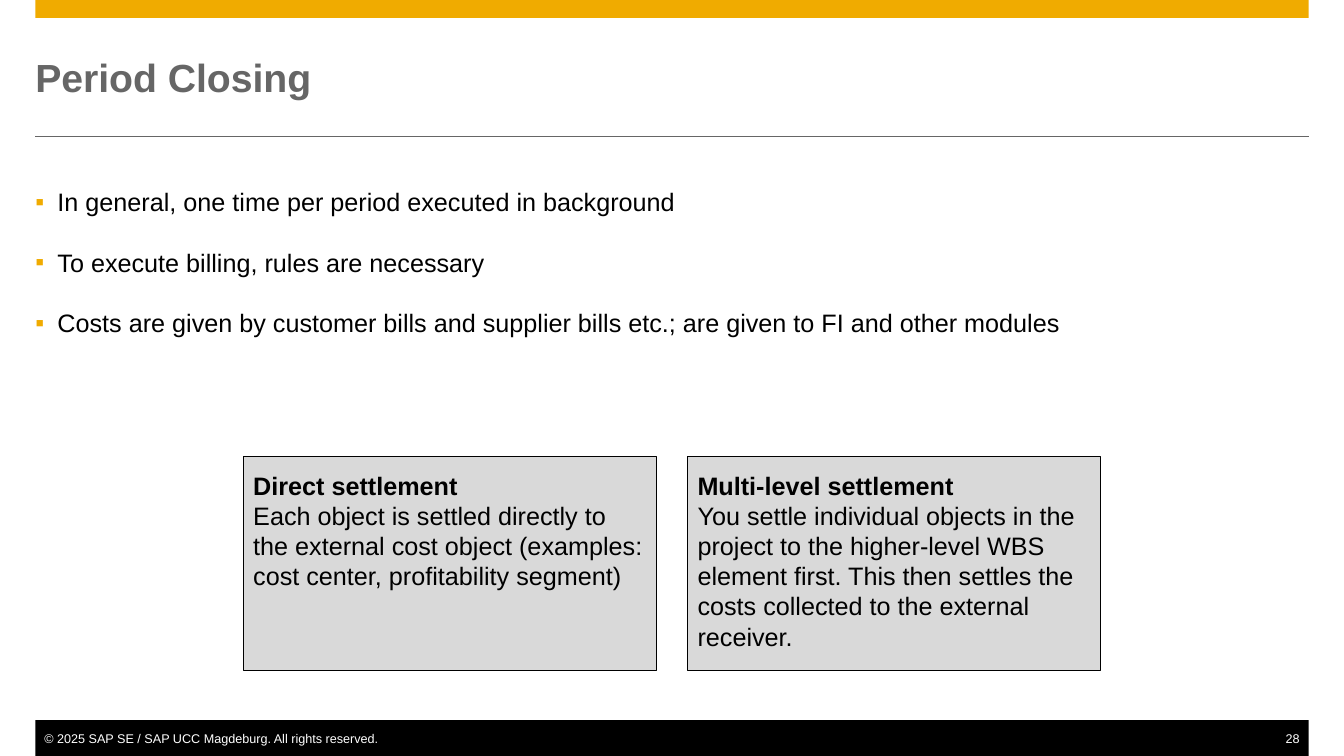
from lxml.etree import SubElement as Sub
from pptx import Presentation
from pptx.dml.color import RGBColor as Rgb
from pptx.enum.shapes import MSO_CONNECTOR as Link, MSO_SHAPE as Kind
from pptx.enum.text import MSO_ANCHOR as Anchor, PP_ALIGN as Align
from pptx.oxml.ns import qn
from pptx.util import Cm, Pt

# Content
TITLE = "Period Closing"
POINTS = [
    "In general, one time per period executed in background",
    "To execute billing, rules are necessary",
    "Costs are given by customer bills and supplier bills etc.; "
    "are given to FI and other modules",
]
CARDS = [
    ("Direct settlement",
     "Each object is settled directly to the external cost object "
     "(examples: cost center, profitability segment)"),
    ("Multi-level settlement",
     "You settle individual objects in the project to the higher-level WBS "
     "element first. This then settles the costs collected to the external "
     "receiver."),
]
RIGHTS = "© 2025 SAP SE / SAP UCC Magdeburg. All rights reserved."
NUMBER = "28"

HUES = {"gold": "F0AB00", "grey": "666666", "pale": "D9D9D9",
        "black": "000000", "white": "FFFFFF"}
FONT = "Arial"

# Layout in centimetres
WIDE, HIGH = 33.88, 19.05
EDGE = 0.89
SPAN = WIDE - 2 * EDGE
BAR = 0.9
CARD_W, CARD_H, CARD_Y, GAP = 10.41, 5.38, 11.51, 0.79
CARD_X = (WIDE - len(CARDS) * CARD_W - (len(CARDS) - 1) * GAP) / 2


def hue(name):
    return Rgb.from_string(HUES[name])


def block(slide, x, y, w, h, fill, line=None):
    box = slide.shapes.add_shape(Kind.RECTANGLE, Cm(x), Cm(y), Cm(w), Cm(h))
    box.shadow.inherit = False
    box.fill.solid()
    box.fill.fore_color.rgb = hue(fill)
    if line:
        box.line.color.rgb = hue(line)
        box.line.width = Pt(1)
    else:
        box.line.fill.background()
    return box


def write(box, lines, size, color, pad=(0, 0, 0, 0), anchor=Anchor.TOP,
          align=Align.LEFT):
    frame = box.text_frame
    frame.word_wrap = True
    frame.vertical_anchor = anchor
    (frame.margin_left, frame.margin_top,
     frame.margin_right, frame.margin_bottom) = map(Cm, pad)
    frame.text = "\n".join(lines)
    for para in frame.paragraphs:
        para.alignment = align
        for run in para.runs:
            run.font.name = FONT
            run.font.size = Pt(size)
            run.font.color.rgb = hue(color)
    return frame.paragraphs


def label(slide, x, y, w, h, lines, size, color, **kind):
    box = slide.shapes.add_textbox(Cm(x), Cm(y), Cm(w), Cm(h))
    return write(box, lines, size, color, **kind)


def bullet(para):
    props = para._p.get_or_add_pPr()
    props.set("marL", str(Cm(0.56)))
    props.set("indent", str(-Cm(0.56)))
    tint = Sub(props, qn("a:buClr"))
    Sub(tint, qn("a:srgbClr"), val=HUES["gold"])
    Sub(props, qn("a:buFont"), typeface=FONT)
    Sub(props, qn("a:buChar"), char="▪")


def main():
    deck = Presentation()
    deck.slide_width, deck.slide_height = Cm(WIDE), Cm(HIGH)
    slide = deck.slides.add_slide(deck.slide_layouts[6])

    # Top bar and rule
    block(slide, EDGE, 0, SPAN, BAR / 2, "gold")
    rule = slide.shapes.add_connector(
        Link.STRAIGHT, Cm(EDGE), Cm(3.43), Cm(EDGE + SPAN), Cm(3.43))
    rule.line.color.rgb = hue("grey")
    rule.line.width = Pt(0.5)
    Sub(rule._element.spPr, qn("a:effectLst"))

    # Title
    head = label(slide, EDGE, 0.89, SPAN, 2.11, [TITLE], 28, "grey",
                 anchor=Anchor.MIDDLE)
    head[0].runs[0].font.bold = True

    # Bullet points
    paras = label(slide, EDGE, 4.7, SPAN, 4.5, POINTS, 18, "black")
    for i, para in enumerate(paras):
        if i:
            para.space_before = Pt(21.6)
        bullet(para)

    # Settlement cards
    for i, card in enumerate(CARDS):
        x = CARD_X + i * (CARD_W + GAP)
        box = block(slide, x, CARD_Y, CARD_W, CARD_H, "pale", "black")
        paras = write(box, card, 18, "black", pad=(0.25, 0.33, 0.25, 0.13))
        paras[0].runs[0].font.bold = True

    # Footer
    foot = HIGH - BAR
    block(slide, EDGE, foot, SPAN, BAR, "black")
    half = SPAN / 2
    for x, text, align in ((EDGE, RIGHTS, Align.LEFT),
                           (EDGE + half, NUMBER, Align.RIGHT)):
        label(slide, x, foot, half, BAR, [text], 9, "white",
              pad=(0.23, 0, 0.23, 0), anchor=Anchor.MIDDLE, align=align)

    deck.save("out.pptx")


if __name__ == "__main__":
    main()
